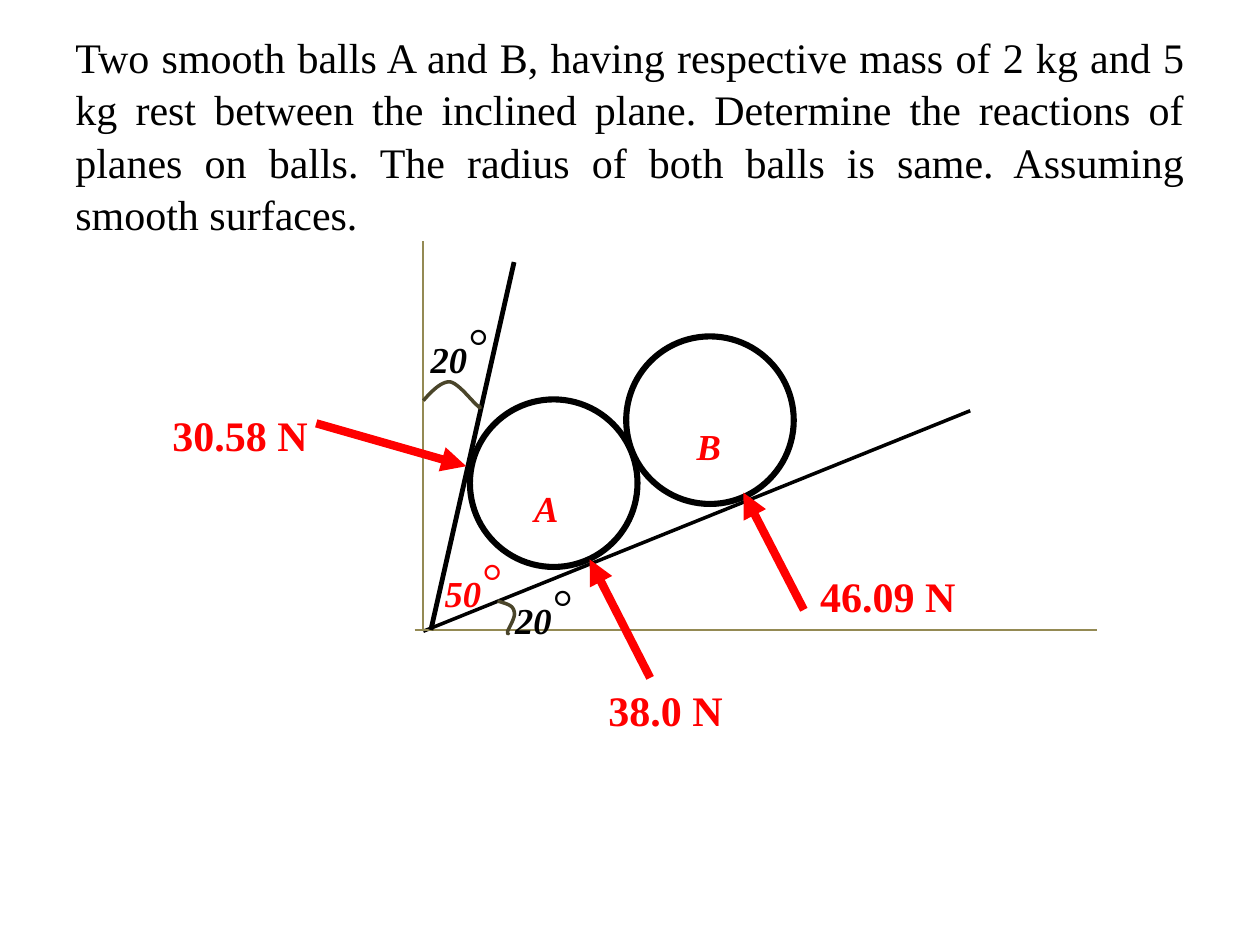
from dataclasses import dataclass
from lxml.etree import SubElement
from pptx import Presentation
from pptx.dml.color import RGBColor
from pptx.enum.shapes import MSO_CONNECTOR, MSO_SHAPE
from pptx.enum.text import MSO_ANCHOR, MSO_AUTO_SIZE, PP_ALIGN
from pptx.oxml.ns import qn
from pptx.util import Inches, Pt


@dataclass(frozen=True)
class Theme:
    font: str = "Times New Roman"
    black: str = "000000"
    red: str = "FF0000"
    tan: str = "948A54"
    olive: str = "4A452A"
    body: int = 24
    mark: int = 36


class Board:
    def __init__(self, slide, theme):
        self.slide = slide
        self.theme = theme

    def paint(self, line, color, width):
        line.color.rgb = RGBColor.from_string(color)
        line.width = Pt(width)

    def style(self, run, size, color, bold=True, slant=False):
        font = run.font
        font.name, font.size = self.theme.font, Pt(size)
        font.bold, font.italic = bold, slant
        font.color.rgb = RGBColor.from_string(color)

    def box(self, spot, text):
        shape = self.slide.shapes.add_textbox(*map(Inches, spot))
        frame = shape.text_frame
        frame.word_wrap = True
        frame.text = text
        return frame

    def title(self, spot, text):
        frame = self.box(spot, text)
        frame.vertical_anchor = MSO_ANCHOR.MIDDLE
        para = frame.paragraphs[0]
        para.alignment = PP_ALIGN.JUSTIFY
        para.line_spacing = 1.04
        self.style(para.runs[0], self.theme.body, self.theme.black, bold=False)

    def force(self, spot, text):
        frame = self.box(spot, text)
        frame.auto_size = MSO_AUTO_SIZE.SHAPE_TO_FIT_TEXT
        self.style(frame.paragraphs[0].runs[0], self.theme.body, self.theme.red)

    def mark(self, spot, text, color, unit=""):
        frame = self.box(spot, text)
        frame.auto_size = MSO_AUTO_SIZE.SHAPE_TO_FIT_TEXT
        para = frame.paragraphs[0]
        if unit:
            para.add_run().text = unit
        for run in para.runs:
            self.style(run, self.theme.mark, color, slant=True)
        # Lowered text
        para.runs[0].font._element.set("baseline", "-25000")

    def ball(self, left, top, size=1.33):
        shape = self.slide.shapes.add_shape(
            MSO_SHAPE.OVAL, *map(Inches, (left, top, size, size)))
        shape.shadow.inherit = False
        shape.fill.background()
        self.paint(shape.line, self.theme.black, 3.5)

    def line(self, start, end, color, width, arrow=False):
        link = self.slide.shapes.add_connector(
            MSO_CONNECTOR.STRAIGHT, *map(Inches, start + end))
        self.paint(link.line, color, width)
        if arrow:
            SubElement(link.line._get_or_add_ln(), qn("a:tailEnd"), type="triangle")
        SubElement(link._element.spPr, qn("a:effectLst"))

    def curve(self, start, parts, steps=12):
        # Sample each cubic Bezier part
        dots, here = [], start
        for one, two, end in parts:
            for step in range(1, steps + 1):
                t = step / steps
                u = 1 - t
                dots.append(tuple(
                    Inches(u**3 * a + 3 * u * u * t * b + 3 * u * t * t * c + t**3 * d)
                    for a, b, c, d in zip(here, one, two, end)))
            here = end
        pen = self.slide.shapes.build_freeform(*map(Inches, start))
        pen.add_line_segments(dots, close=False)
        shape = pen.convert_to_shape()
        shape.shadow.inherit = False
        shape.fill.background()
        self.paint(shape.line, self.theme.olive, 2)


def main():
    deck = Presentation()
    deck.slide_width, deck.slide_height = Inches(10), Inches(7.5)
    theme = Theme()
    board = Board(deck.slides.add_slide(deck.slide_layouts[6]), theme)

    # Problem text
    board.title((0.5, 0.3, 9, 1.53),
                "Two smooth balls A and B, having respective mass of 2 kg and 5 kg "
                "rest between the inclined plane. Determine the reactions of planes "
                "on balls. The radius of both balls is same. Assuming smooth surfaces.")

    # Balls
    for name, ball, spot in (("A", (3.73, 3.17), (4.14, 3.47)),
                             ("B", (4.97, 2.67), (5.43, 2.98))):
        board.ball(*ball)
        board.mark(spot + (0.67, 0.5), name, theme.red)

    # Planes and axes
    for start, end, color, width in (
            ((3.36, 5.01), (7.7, 3.26), theme.black, 2),
            ((3.29, 5), (8.71, 5), theme.tan, 1.25),
            ((3.42, 5), (4.08, 2.08), theme.black, 2.75),
            ((3.36, 5.01), (3.36, 1.91), theme.tan, 1.25)):
        board.line(start, end, color, width)

    # Angle arcs
    board.curve((3.95, 4.77), (
        ((4.01, 4.79), (4.07, 4.8), (4.08, 4.85)),
        ((4.1, 4.89), (4.04, 4.98), (4.03, 5.01)),
        ((4.03, 5.04), (4.03, 5.03), (4.04, 5.02))))
    board.curve((3.36, 3.18), (
        ((3.43, 3.1), (3.5, 3.03), (3.57, 3.03)),
        ((3.64, 3.04), (3.75, 3.19), (3.79, 3.22)),
        ((3.82, 3.25), (3.81, 3.23), (3.8, 3.22))))

    # Angle labels
    for text, spot, color in (("50", (3.43, 4.15, 0.86, 0.71), theme.red),
                              ("20", (3.32, 2.29, 0.71, 0.71), theme.black),
                              ("20", (3.99, 4.36, 0.71, 0.71), theme.black)):
        board.mark(spot, text, color, "◦")

    # Reactions
    for text, spot, start, end in (
            ("30.58 N", (1.27, 3.2, 1.31, 0.5), (2.51, 3.36), (3.7, 3.7)),
            ("46.09 N", (6.41, 4.48, 1.65, 0.5), (6.38, 4.84), (5.9, 3.91)),
            ("38.0 N", (4.73, 5.38, 1.4, 0.5), (5.16, 5.38), (4.68, 4.44))):
        board.line(start, end, theme.red, 4.75, arrow=True)
        board.force(spot, text)

    deck.save("out.pptx")


if __name__ == "__main__":
    main()
